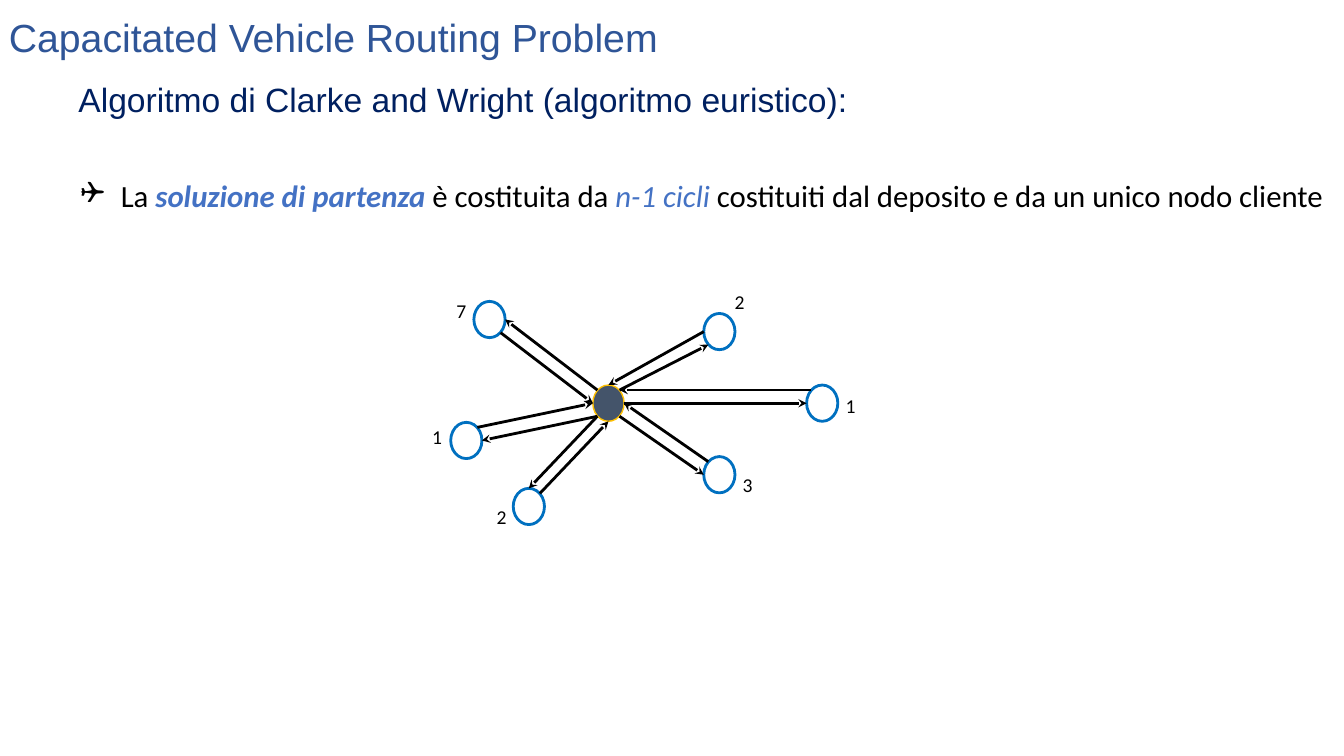
from pptx import Presentation
from pptx.dml.color import RGBColor
from pptx.enum.shapes import MSO_CONNECTOR as Link, MSO_SHAPE as Kind
from pptx.enum.text import MSO_ANCHOR as Anchor, PP_ALIGN as Align
from pptx.oxml.ns import qn
from pptx.util import Inches, Pt
from lxml.etree import SubElement as Sub

# Slide: a grid of 1333 columns by 750 rows
cell = Inches(0.01)
deck = Presentation()
deck.slide_width, deck.slide_height = 1333 * cell, 750 * cell
slide = deck.slides.add_slide(deck.slide_layouts[6])
shapes = slide.shapes


def hue(code):
    return RGBColor.from_string(code)


def write(x, y, w, h, runs, size, face="Calibri", side=Align.LEFT, hold=Anchor.MIDDLE):
    """Add a one-paragraph box; each run is text, colour, bold, italic."""
    frame = shapes.add_textbox(*(round(n * cell) for n in (x, y, w, h))).text_frame
    frame.word_wrap = True
    frame.vertical_anchor = hold
    para = frame.paragraphs[0]
    para.alignment = side
    for words, code, bold, slant in runs:
        run = para.add_run()
        run.text = words
        font = run.font
        font.name, font.size, font.bold, font.italic = face, Pt(size), bold, slant
        font.color.rgb = hue(code)
    return para


# Headings
write(-1, 1, 900, 71, [("Capacitated Vehicle Routing Problem", "2F5597", False, False)],
      28, "Arial")
write(68, 73, 914, 47,
      [("Algoritmo di Clarke and Wright (algoritmo euristico):", "002060", False, False)],
      24, "Arial", hold=Anchor.TOP)

# Bullet line
point = write(70, 152, 1263, 60, [
    ("La ", "000000", False, False),
    ("soluzione di partenza ", "4472C4", True, True),
    ("è costituita da ", "000000", False, False),
    ("n-1 cicli", "4472C4", False, True),
    (" costituiti dal deposito e da un unico nodo cliente", "000000", False, False),
], 22, hold=Anchor.TOP)
point.line_spacing = 1.5
props = point._p.get_or_add_pPr()
props.set("marL", str(40 * cell))
props.set("indent", str(-40 * cell))
Sub(props, qn("a:buFont"), typeface="Wingdings")
Sub(props, qn("a:buChar"), char="❑")

# Clients: centre, label, label centre,
# then depot and client ends of the way out, client and depot ends of the way back
depot = (603.5, 400)
clients = [
    ((462.5, 437), "1", (433.5, 433.5), "SW", "E", "NE", "W"),
    ((524.5, 502.5), "2", (497.5, 512.5), "SW", "N", "NE", "S"),
    ((485.5, 317), "7", (457.5, 308), "NW", "E", "SE", "W"),
    ((713.5, 329), "2", (733.5, 299.5), "NE", "SW", "W", "N"),
    ((713.5, 471), "3", (741.5, 481), "SE", "W", "NW", "E"),
    ((815.5, 400), "1", (843.5, 402.5), "E", "W", "NW", "NE"),
]

# Nodes
wide, high = 31, 36
nodes = [(client[0], "FFFFFF", "0070C0", 2) for client in clients]
for (x, y), fill, edge, width in nodes + [(depot, "44546A", "FFC000", 1)]:
    node = shapes.add_shape(Kind.OVAL, round((x - wide / 2) * cell),
                            round((y - high / 2) * cell), wide * cell, high * cell)
    node.shadow.inherit = False
    node.fill.solid()
    node.fill.fore_color.rgb = hue(fill)
    node.line.color.rgb = hue(edge)
    node.line.width = Pt(width)

# Labels and arrows, joined at compass points on the rim
rim = {"N": (0, -18), "NE": (11, -13), "E": (15.5, 0), "SE": (11, 13),
       "S": (0, 18), "SW": (-11, 13), "W": (-15.5, 0), "NW": (-11, -13)}
for spot, label, (x, y), leave, reach, turn, home in clients:
    write(x - 19.5, y - 15.5, 39, 31, [(label, "000000", False, False)],
          14, side=Align.CENTER)
    for start, tail, end, head in ((depot, leave, spot, reach), (spot, turn, depot, home)):
        ends = [round((a + b) * cell) for mid, side in ((start, tail), (end, head))
                for a, b in zip(mid, rim[side])]
        arrow = shapes.add_connector(Link.STRAIGHT, *ends)
        arrow.line.color.rgb = hue("000000")
        arrow.line.width = Pt(2)
        Sub(arrow.line._get_or_add_ln(), qn("a:tailEnd"), type="stealth")
        Sub(arrow._element.spPr, qn("a:effectLst"))

deck.save("out.pptx")
